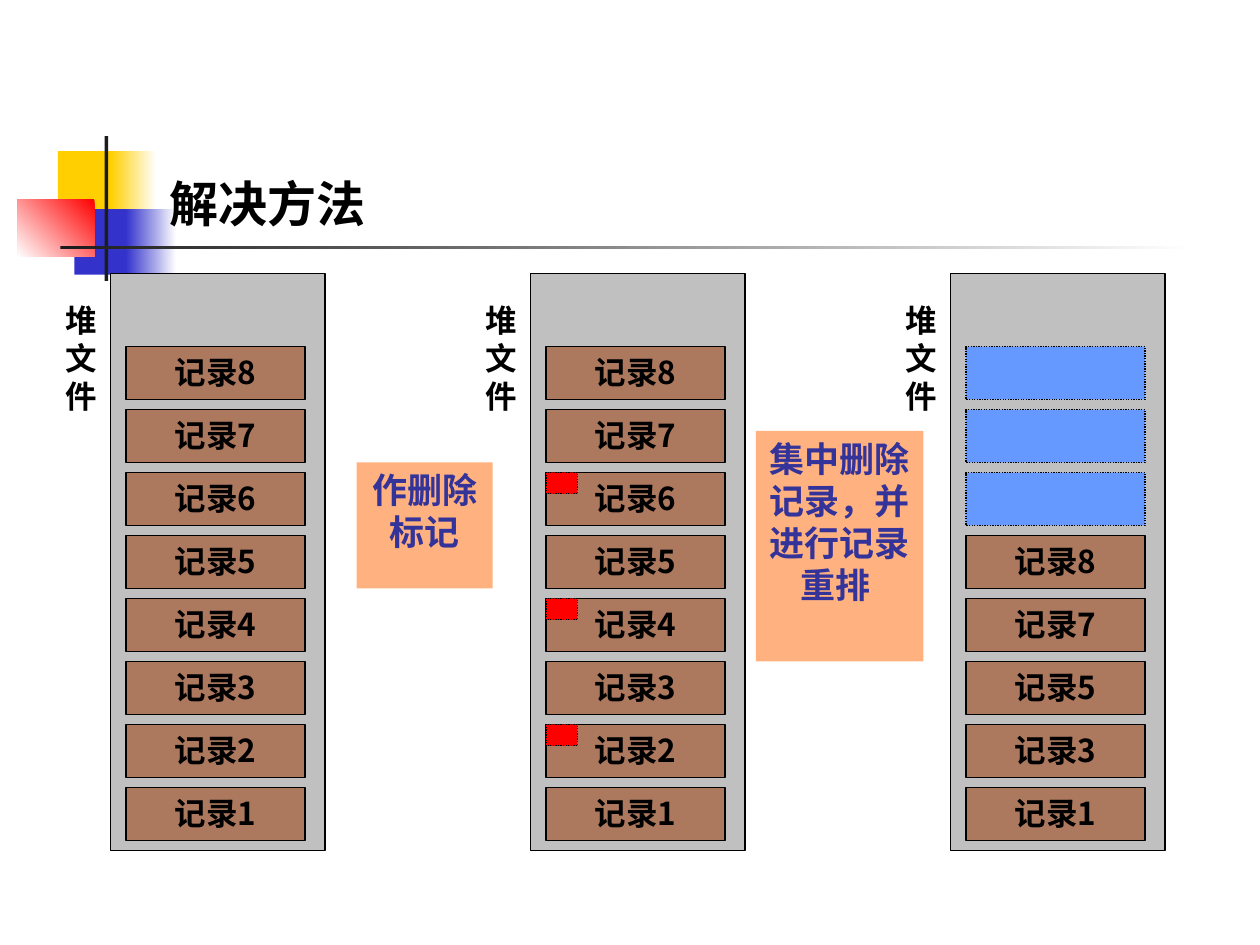
import pptx
import pptx.dml.color
import pptx.enum.dml
import pptx.enum.shapes
import pptx.enum.text
import pptx.oxml.ns
import pptx.util
from lxml import etree
from pptx.util import Inches

RGBColor = pptx.dml.color.RGBColor
PP_ALIGN = pptx.enum.text.PP_ALIGN

WHITE = RGBColor(0xFF, 0xFF, 0xFF)
BLACK = RGBColor(0x00, 0x00, 0x00)
YELLOW = RGBColor(0xFF, 0xCF, 0x01)
BLUE = RGBColor(0x33, 0x33, 0xCC)
RED = RGBColor(0xFF, 0x00, 0x00)
CHARCOAL = RGBColor(0x1C, 0x1C, 0x1C)
GREY = RGBColor(0xC0, 0xC0, 0xC0)
BROWN = RGBColor(0x99, 0x33, 0x00)
ORANGE = RGBColor(0xFF, 0x66, 0x00)
NAVY = RGBColor(0x33, 0x33, 0x99)
FREE_BLUE = RGBColor(0x66, 0x99, 0xFF)

SANS = "Noto Sans CJK SC"
SERIF = "Times New Roman"


def add_rect(shapes, x, y, w, h, fill, fade_angle=None, opacity=None, outlined=False, dotted=False):
    """Add a rectangle; fade_angle makes the fill run out to white."""
    sp = shapes.add_shape(pptx.enum.shapes.MSO_SHAPE.RECTANGLE,
                          Inches(x), Inches(y), Inches(w), Inches(h))
    sp.shadow.inherit = False
    if fade_angle is None:
        sp.fill.solid()
        sp.fill.fore_color.rgb = fill
    else:
        sp.fill.gradient()
        sp.fill.gradient_angle = fade_angle
        for stop, color in zip(sp.fill.gradient_stops, (fill, WHITE)):
            stop.color.rgb = color
    if opacity is not None:
        clr = sp.fill._xPr.find(".//" + pptx.oxml.ns.qn("a:srgbClr"))
        etree.SubElement(clr, pptx.oxml.ns.qn("a:alpha"), val=str(opacity * 1000))
    if outlined:
        sp.line.color.rgb = BLACK
        sp.line.width = pptx.util.Pt(0.75)
        if dotted:
            sp.line.dash_style = pptx.enum.dml.MSO_LINE.ROUND_DOT
    else:
        sp.line.fill.background()
    return sp


def write_text(shape, text, size=18, font=SANS, color=BLACK, align=PP_ALIGN.CENTER):
    tf = shape.text_frame
    tf.word_wrap = True
    tf.vertical_anchor = pptx.enum.text.MSO_ANCHOR.TOP
    p = tf.paragraphs[0]
    p.alignment = align
    p.line_spacing = pptx.util.Pt(size * 1.2)
    r = p.add_run()
    r.text = text
    r.font.size = pptx.util.Pt(size)
    r.font.bold = True
    r.font.name = font
    r.font.color.rgb = color
    etree.SubElement(r.font._element, pptx.oxml.ns.qn("a:ea"), typeface=SANS)


prs = pptx.Presentation()
prs.slide_width = Inches(10)
prs.slide_height = Inches(7.5)
s = prs.slides.add_slide(prs.slide_layouts[6])

# Corner ornament and title rule
for x, y, w, h, fill, fade_angle in (
    (0.46, 1.2, 0.48, 0.52, YELLOW, None),
    (0.88, 1.2, 0.36, 0.52, YELLOW, 0),
    (0.59, 1.66, 0.46, 0.52, BLUE, None),
    (1, 1.66, 0.4, 0.52, BLUE, 0),
    (0.14, 1.58, 0.61, 0.46, RED, 225),
    (0.83, 1.08, 0.03, 1.15, CHARCOAL, None),
    (0.48, 1.95, 9, 0.03, CHARCOAL, 0),
):
    add_rect(s.shapes, x, y, w, h, fill, fade_angle=fade_angle)

title = s.shapes.add_textbox(Inches(1.25), Inches(1.33), Inches(2.92), Inches(0.57))
write_text(title, "解决方法", size=28, font=SERIF, align=PP_ALIGN.LEFT)

# Heap files, records listed from the bottom slot up; None is a freed slot
BOTTOM_SLOT, SLOT_STEP, COLUMN_STEP = 6.25, 0.5, 10 / 3
DELETED = (2, 4, 6)
all_records = list(range(1, 9))
kept_records = [n for n in all_records if n not in DELETED]
heap_files = (all_records, all_records, kept_records + [None] * len(DELETED))

for column, records in enumerate(heap_files):
    x = 1 + column * COLUMN_STEP
    shapes = s.shapes.add_group_shape().shapes
    add_rect(shapes, x - 0.12, 2.17, 1.7, 4.58, GREY, outlined=True)
    label = shapes.add_textbox(Inches(x - 0.58), Inches(2.34), Inches(0.46), Inches(1.41))
    write_text(label, "堆文件", font=SERIF, align=PP_ALIGN.JUSTIFY)
    for slot, number in enumerate(records):
        y = BOTTOM_SLOT - slot * SLOT_STEP
        if number is None:
            add_rect(shapes, x, y, 1.42, 0.42, FREE_BLUE, outlined=True, dotted=True)
        else:
            record = add_rect(shapes, x, y, 1.42, 0.42, BROWN, opacity=50, outlined=True)
            write_text(record, f"记录{number}")

# Deletion marks in the middle file
for number in DELETED:
    add_rect(s.shapes, 1 + COLUMN_STEP, BOTTOM_SLOT - (number - 1) * SLOT_STEP, 0.25, 0.17,
             RED, outlined=True, dotted=True)

# Steps between the files
for x, y, w, h, text in (
    (2.83, 3.67, 1.08, 1, "作删除标记"),
    (6, 3.42, 1.33, 1.83, "集中删除记录，并进行记录重排 "),
):
    step = add_rect(s.shapes, x, y, w, h, ORANGE, opacity=50)
    write_text(step, text, size=20, color=NAVY)

prs.save("out.pptx")
